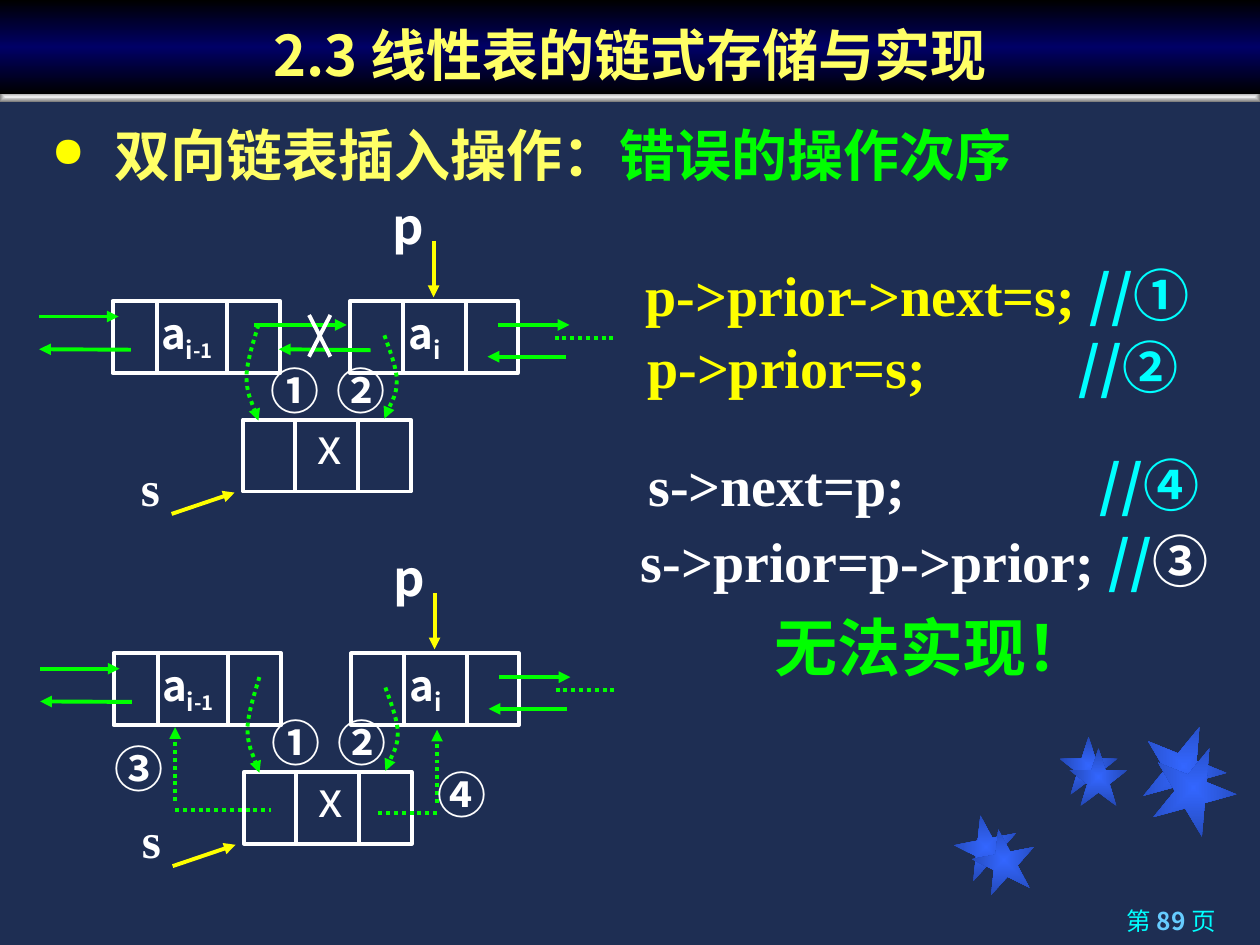
from dataclasses import dataclass
from lxml.etree import SubElement as Sub
from pptx import Presentation
from pptx.dml.color import RGBColor as Rgb
from pptx.enum.dml import MSO_LINE as Dash
from pptx.enum.shapes import MSO_CONNECTOR as Conn, MSO_SHAPE as Geom
from pptx.enum.text import MSO_ANCHOR as Anchor, PP_ALIGN as Align
from pptx.oxml import parse_xml
from pptx.oxml.ns import nsdecls, qn
from pptx.util import Cm, Pt


@dataclass(frozen=True)
class Theme:
    back: str = "1E2E53"
    white: str = "FFFFFF"
    green: str = "00FF00"
    yellow: str = "FFFF00"
    pale: str = "FFFF66"
    cyan: str = "00FFFF"
    sky: str = "66CCFF"
    bar: tuple = ("000000", "000066", "000000")
    rule: tuple = ("EDEDED", "808080")
    star: tuple = ("3366FF", "2449B6")
    sans: str = "Noto Sans CJK SC"
    serif: str = "Times New Roman"
    foot: int = 14
    sub: int = 20
    cell: int = 24
    mark: int = 28
    body: int = 32
    loud: int = 36
    line: float = 2.25


T = Theme()


# Text
def add_run(para, text, size, color, font=T.sans, bold=True, base=0):
    run = para.add_run()
    run.text = text
    run.font.size, run.font.bold, run.font.name = Pt(size), bold, font
    run.font.color.rgb = Rgb.from_string(color)
    props = run.font._element
    Sub(props, qn("a:ea"), typeface=T.sans)
    if base:
        props.set("baseline", str(base * 1000))


def add_text(slide, x, y, w, h, *runs, wrap=True, space=None):
    box = slide.shapes.add_textbox(Cm(x), Cm(y), Cm(w), Cm(h))
    frame = box.text_frame
    frame.word_wrap = wrap
    para = frame.paragraphs[0]
    para.line_spacing = space
    for run in runs:
        add_run(para, *run)
    return frame


# Shapes and lines
def add_grad(slide, geom, x, y, w, h, colors, turn=None, spin=0):
    """Shape with an even gradient: linear at angle turn, else from the centre."""
    shape = slide.shapes.add_shape(geom, Cm(x), Cm(y), Cm(w), Cm(h))
    shape.shadow.inherit = False
    shape.line.fill.background()
    shape.rotation = spin
    shape.fill.background()
    step = 100000 // (len(colors) - 1)
    stops = "".join(f'<a:gs pos="{i * step}"><a:srgbClr val="{c}"/></a:gs>'
                    for i, c in enumerate(colors))
    if turn is None:
        way = ('<a:path path="shape"><a:fillToRect l="50000" t="50000" '
               'r="50000" b="50000"/></a:path>')
    else:
        way = f'<a:lin ang="{turn * 60000}" scaled="0"/>'
    fill = parse_xml(f'<a:gradFill {nsdecls("a")} rotWithShape="1">'
                     f'<a:gsLst>{stops}</a:gsLst>{way}</a:gradFill>')
    props = shape._element.spPr
    props.replace(props.find(qn("a:noFill")), fill)
    return shape


def set_line(line, color, dots=False, head=False):
    line.color.rgb = Rgb.from_string(color)
    line.width = Pt(T.line)
    if dots:
        line.dash_style = Dash.ROUND_DOT
    if head:
        Sub(line._get_or_add_ln(), qn("a:tailEnd"), type="triangle")


def add_line(slide, x1, y1, x2, y2, color, dots=False, head=False):
    conn = slide.shapes.add_connector(Conn.STRAIGHT, Cm(x1), Cm(y1), Cm(x2), Cm(y2))
    set_line(conn.line, color, dots, head)
    Sub(conn._element.spPr, qn("a:effectLst"))


def add_bow(slide, x, y, w, h):
    """Dotted arrow from (x, y) straight down by h, bulging sideways by w."""
    knots = [(.2, .09), (1, .38), (1, .54), (1, .71), (.2, .91), (0, 1)]
    pen = slide.shapes.build_freeform(Cm(x), Cm(y))
    pen.add_line_segments([(Cm(x + w * u), Cm(y + h * v)) for u, v in knots], close=False)
    bow = pen.convert_to_shape()
    bow.shadow.inherit = False
    bow.fill.background()
    set_line(bow.line, T.green, True, True)
    # Every three points become one cubic curve
    trace = next(bow._element.iter(qn("a:path")))
    legs = trace.findall(qn("a:lnTo"))
    for i in range(0, len(legs), 3):
        curve = Sub(trace, qn("a:cubicBezTo"))
        for leg in legs[i:i + 3]:
            curve.append(leg[0])
            trace.remove(leg)


# Regions
def add_stars(slide, x, y):
    for dx, dy, size, spin in [(0, 1.83, 1.27, 349), (2.11, .25, 1.17, 0), (3.76, 0, 1.7, 22),
                               (.36, 2.11, 1.27, 349), (2.31, .48, 1.17, 0), (3.96, .43, 1.7, 22)]:
        add_grad(slide, Geom.STAR_5_POINT, x + dx, y + dy, size, size, T.star, spin=spin)


def add_title(slide, x, y, w, h):
    add_grad(slide, Geom.RECTANGLE, x, y + h - .05, w, .2, T.rule)
    bar = add_grad(slide, Geom.RECTANGLE, x, y, w, h, T.bar, turn=90)
    bar.text_frame.vertical_anchor = Anchor.BOTTOM
    para = bar.text_frame.paragraphs[0]
    para.alignment = Align.CENTER
    add_run(para, "2.3 线性表的链式存储与实现", T.body, T.pale)


def add_lead(slide, x, y, w, h):
    frame = add_text(slide, x, y, w, h, ("双向链表插入操作：", T.body, T.pale, T.serif),
                     ("错误的操作次序", T.body, T.green, T.serif))
    props = frame.paragraphs[0]._p.get_or_add_pPr()
    props.set("marL", str(Cm(1.27)))
    props.set("indent", str(Cm(-1.27)))
    Sub(Sub(props, qn("a:buClr")), qn("a:srgbClr"), val=T.yellow)
    Sub(props, qn("a:buSzPct"), val="75000")
    Sub(props, qn("a:buChar"), char="●")


def add_code(slide, x, y, w, h):
    def add_row(dx, dy, code, note, color, tab=None):
        gap = "\t" if tab else " "
        frame = add_text(slide, x + dx, y + dy, w, h, (code + gap, T.body, color, T.serif),
                         ("//", T.body, T.cyan), note, space=1.2)
        if tab:
            tabs = Sub(frame.paragraphs[0]._p.get_or_add_pPr(), qn("a:tabLst"))
            Sub(tabs, qn("a:tab"), pos=str(Cm(tab)), algn="l")
        return frame

    add_row(.1, 0, "p->prior->next=s;", ("①", T.body, T.cyan), T.yellow)
    add_row(.13, 1.45, "p->prior=s;", ("②", T.body, T.cyan), T.yellow, 8.7)
    add_row(.15, 3.84, "s->next=p;", ("④", T.body, T.cyan), T.white, 9.1)
    last = add_row(0, 5.36, "s->prior=p->prior;", ("③", T.body, T.white), T.white)
    para = last.add_paragraph()
    para.alignment, para.line_spacing = Align.CENTER, 1.2
    add_run(para, "无法实现！", T.loud, T.green)


def add_node(slide, x, y, cuts):
    w, h = 3.38, 1.45
    box = slide.shapes.add_shape(Geom.RECTANGLE, Cm(x), Cm(y), Cm(w), Cm(h))
    box.shadow.inherit = False
    box.fill.background()
    set_line(box.line, T.white)
    for cut in cuts:
        add_line(slide, x + cut, y, x + cut, y + h, T.white)


def add_chain(slide, x, y, lines, marks):
    """Linked nodes; lines and marks hold what differs from step to step."""
    for dx, dy, cuts in [(1.48, 2.26, (.89, 2.31)), (6.27, 2.26, (1.07, 2.33)),
                         (4.11, 4.65, (1.05, 2.32))]:
        add_node(slide, x + dx, y + dy, cuts)
    # Links shared by both steps
    links = [(0, 2.57, 1.6, 2.57, T.green, False, True),
             (1.85, 3.24, 0, 3.23, T.green, False, True),
             (9.25, 2.74, 10.69, 2.74, T.green, False, True),
             (10.62, 3.38, 9.04, 3.38, T.green, False, True),
             (10.39, 3, 11.58, 3, T.green, True, False),
             (7.95, 1.04, 7.95, 2.18, T.yellow, False, True),
             (2.67, 6.55, 3.94, 6.12, T.yellow, False, True)]
    for x1, y1, x2, y2, *look in links + lines:
        add_line(slide, x + x1, y + y1, x + x2, y + y2, *look)
    add_bow(slide, x + 4.42, y + 2.74, -.24, 1.93)
    add_bow(slide, x + 6.96, y + 2.95, .25, 1.68)
    # Labels
    head = ("a", T.cell, T.white)
    low = ("i", T.cell, T.white, T.sans, True, -25)
    less = ("-1", T.sub, T.white, T.sans, True, -25)
    add_text(slide, x + 2.21, y + 2.26, 2.62, 1.3, head, low, less)
    add_text(slide, x + 7.19, y + 2.26, 1.98, 1.3, head, low)
    add_text(slide, x + 5.36, y + 4.45, 1.45, 1.45, ("x", T.mark, T.white, T.sans, False))
    add_text(slide, x + 1.8, y + 5.28, 1.27, 1.45, ("s", T.mark, T.white, T.serif))
    for sign, dx, dy, w in [("p", 6.88, 0, 1.02), ("①", 4.42, 3.33, 1.45),
                            ("②", 5.74, 3.33, 1.63)] + marks:
        add_text(slide, x + dx, y + dy, w, 1.45, (sign, T.mark, T.white), wrap=sign not in "p④")


def add_foot(slide, x, y, w, h):
    frame = add_text(slide, x, y, w, h, ("第 ", T.foot, T.cyan, T.sans, False),
                     ("89 ", T.foot, T.sky), ("页", T.foot, T.cyan, T.sans, False))
    frame.paragraphs[0].alignment = Align.RIGHT


def main():
    deck = Presentation()
    deck.slide_width, deck.slide_height = Cm(25.4), Cm(19.05)
    slide = deck.slides.add_slide(deck.slide_layouts[6])
    slide.background.fill.solid()
    slide.background.fill.fore_color.rgb = Rgb.from_string(T.back)

    add_stars(slide, 19.25, 14.6)
    add_foot(slide, 18.08, 18.14, 6.68, .91)
    add_title(slide, 0, 0, 25.4, 1.9)
    add_lead(slide, .79, 2.31, 21.23, 1.63)
    add_code(slide, 12.67, 4.85, 12.22, 1.9)

    # Before: the link between the nodes is crossed out
    broken = [(4.34, 2.74, 6.2, 2.74, T.green, False, True),
              (6.68, 3.25, 4.83, 3.23, T.green, False, True),
              (5.87, 2.54, 5.44, 3.38, T.white),
              (5.44, 2.54, 5.87, 3.38, T.white)]
    add_chain(slide, .79, 3.81, broken, [])
    # After: steps three and four start from the new node
    steps = [(8, 5.27, 8, 3.8, T.green, True, True),
             (8, 5.47, 6.78, 5.47, T.green, True),
             (2.72, 5.24, 2.72, 3.75, T.green, True, True),
             (2.72, 5.42, 4.65, 5.42, T.green, True)]
    add_chain(slide, .81, 10.91, steps, [("④", 7.77, 4.38, 1.5), ("③", 1.24, 3.85, 1.17)])
    deck.save("out.pptx")


if __name__ == "__main__":
    main()
